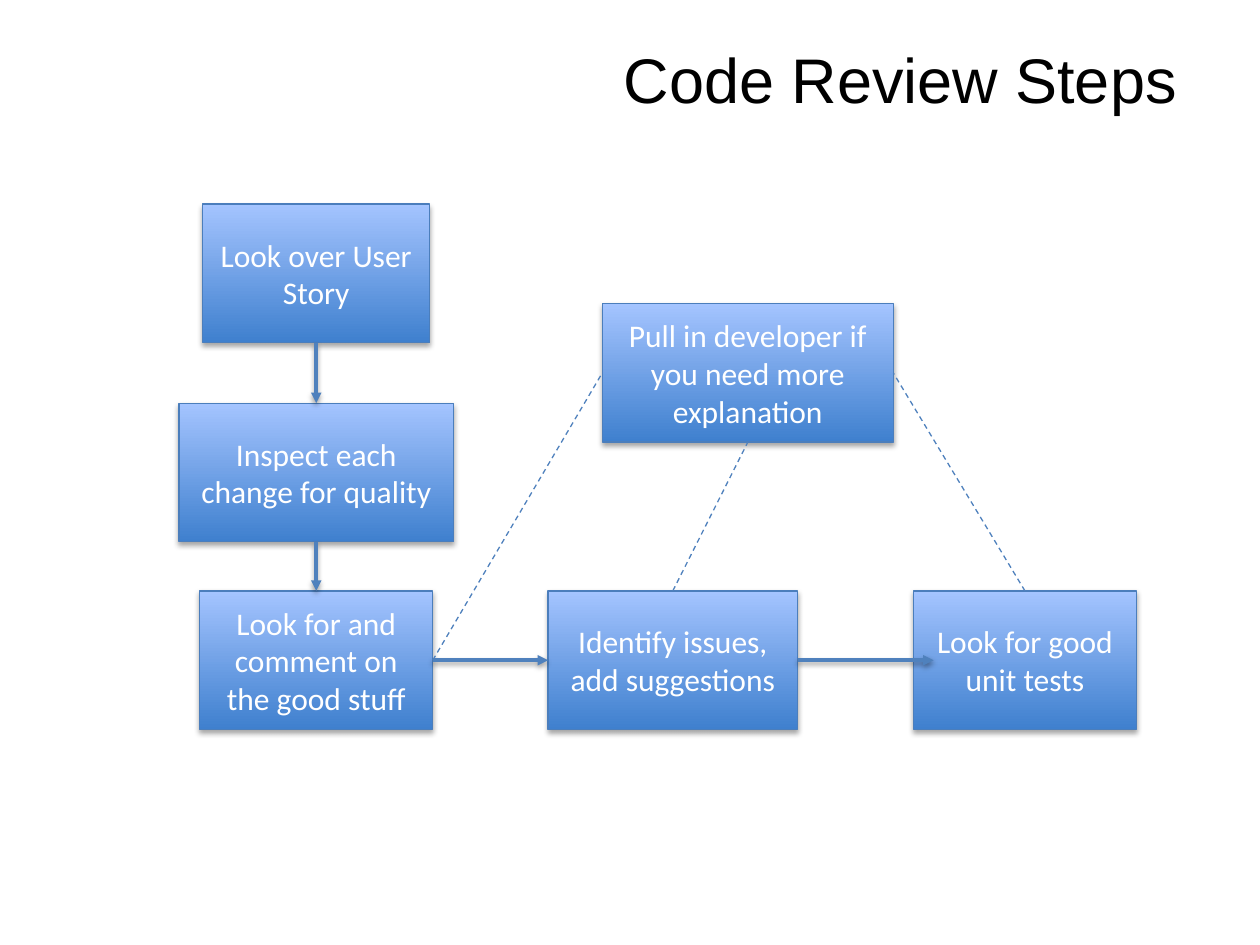
from lxml.etree import SubElement
from pptx import Presentation
from pptx.dml.color import RGBColor
from pptx.enum.dml import MSO_LINE
from pptx.enum.shapes import MSO_CONNECTOR, MSO_SHAPE
from pptx.enum.text import MSO_ANCHOR, PP_ALIGN
from pptx.oxml.ns import qn
from pptx.util import Inches, Pt

COLUMNS, ROWS = 100, 75
SLIDE_WIDTH, SLIDE_HEIGHT = Inches(10), Inches(7.5)
TOP, LEFT, BOTTOM, RIGHT = range(4)

STEP_HEIGHT = 11
REVIEW_COLUMN = 10.9
BOTTOM_ROW = 30.7
# name: (text, centre column, top row, width)
STEPS = {
    "story": ("Look over User Story", REVIEW_COLUMN, 0, 18),
    "inspect": ("Inspect each change for quality", REVIEW_COLUMN, 15.8, 21.8),
    "issues": ("Identify issues, add suggestions", 39.2, BOTTOM_ROW, 19.8),
    "praise": ("Look for and comment on the good stuff", REVIEW_COLUMN, BOTTOM_ROW, 18.5),
    "developer": ("Pull in developer if you need more explanation", 45.15, 7.9, 23.1),
    "tests": ("Look for good unit tests", 67.15, BOTTOM_ROW, 17.7),
}
ARROWS = [
    ("story", BOTTOM, "inspect", TOP),
    ("inspect", BOTTOM, "praise", TOP),
    ("praise", RIGHT, "issues", LEFT),
]
DEVELOPER_LINKS = [
    ("praise", RIGHT, "developer", LEFT),
    ("issues", TOP, "developer", BOTTOM),
    ("tests", TOP, "developer", RIGHT),
]
ARROW_OVERLAP = 1.6


def color(hex_code):
    return RGBColor.from_string(hex_code)


def across(columns):
    return round(SLIDE_WIDTH * columns / COLUMNS)


def down(rows):
    return round(SLIDE_HEIGHT * rows / ROWS)


def add_effects(shape, distance=None, opacity=0):
    """Replace the theme shadow by a soft one below, or by none."""
    properties = shape._element.spPr
    effects = SubElement(properties, qn("a:effectLst"))
    if distance is not None:
        shadow = SubElement(effects, qn("a:outerShdw"), blurRad=str(Pt(3.1)),
                            dist=str(Pt(distance)), dir="5400000", rotWithShape="0")
        black = SubElement(shadow, qn("a:srgbClr"), val="000000")
        SubElement(black, qn("a:alpha"), val=str(opacity * 1000))


def format_text(shape, font_name, size, font_color, alignment):
    shape.text_frame.vertical_anchor = MSO_ANCHOR.MIDDLE
    for paragraph in shape.text_frame.paragraphs:
        paragraph.alignment = alignment
        for run in paragraph.runs:
            run.font.name = font_name
            run.font.size = Pt(size)
            run.font.color.rgb = color(font_color)


def place_title(slide, text, left, top, width, height):
    title = slide.shapes.title
    title.left, title.top = across(left), down(top)
    title.width, title.height = across(width), down(height)
    title.text_frame.text = text
    format_text(title, "Arial", 36, "000000", PP_ALIGN.RIGHT)


def add_step(slide, text, left, top, width):
    shape = slide.shapes.add_shape(MSO_SHAPE.RECTANGLE, across(left), down(top),
                                   across(width), down(STEP_HEIGHT))
    shape.fill.gradient()
    shape.fill.gradient_angle = 90
    for stop, hex_code in zip(shape.fill.gradient_stops, ("3F80CE", "A4C4FF")):
        stop.color.rgb = color(hex_code)
    shape.line.color.rgb = color("4B7EBC")
    shape.line.width = Pt(0.75)
    add_effects(shape, distance=1.8, opacity=35)
    shape.text_frame.word_wrap = True
    shape.text_frame.text = text
    format_text(shape, "Calibri", 18, "FFFFFF", PP_ALIGN.CENTER)
    return shape


def add_line(slide, start, start_side, arrow):
    connector = slide.shapes.add_connector(MSO_CONNECTOR.STRAIGHT, 0, 0, 0, 0)
    connector.begin_connect(start, start_side)
    connector.line.color.rgb = color("4F81BD")
    if arrow:
        connector.line.width = Pt(2)
        SubElement(connector.line._get_or_add_ln(), qn("a:tailEnd"), type="triangle")
        add_effects(connector, distance=1.6, opacity=38)
    else:
        connector.line.width = Pt(0.75)
        connector.line.dash_style = MSO_LINE.DASH
        add_effects(connector)
    return connector


def join_steps(slide, steps, links, arrow):
    for start, start_side, end, end_side in links:
        line = add_line(slide, steps[start], start_side, arrow)
        line.end_connect(steps[end], end_side)


def add_review_flow(slide, left, top):
    steps = {
        name: add_step(slide, text, left + center - width / 2, top + row, width)
        for name, (text, center, row, width) in STEPS.items()
    }
    join_steps(slide, steps, ARROWS, arrow=True)
    # The last arrow reaches a little way into its step.
    last_arrow = add_line(slide, steps["issues"], RIGHT, arrow=True)
    last_arrow.end_x = steps["tests"].left + across(ARROW_OVERLAP)
    last_arrow.end_y = last_arrow.begin_y
    join_steps(slide, steps, DEVELOPER_LINKS, arrow=False)


def main():
    presentation = Presentation()
    presentation.slide_width, presentation.slide_height = SLIDE_WIDTH, SLIDE_HEIGHT
    slide = presentation.slides.add_slide(presentation.slide_layouts.get_by_name("Title Only"))
    place_title(slide, "Code Review Steps", left=4.4, top=0.1, width=90, height=12.2)
    add_review_flow(slide, left=14.2, top=16.2)
    presentation.save("out.pptx")


if __name__ == "__main__":
    main()
